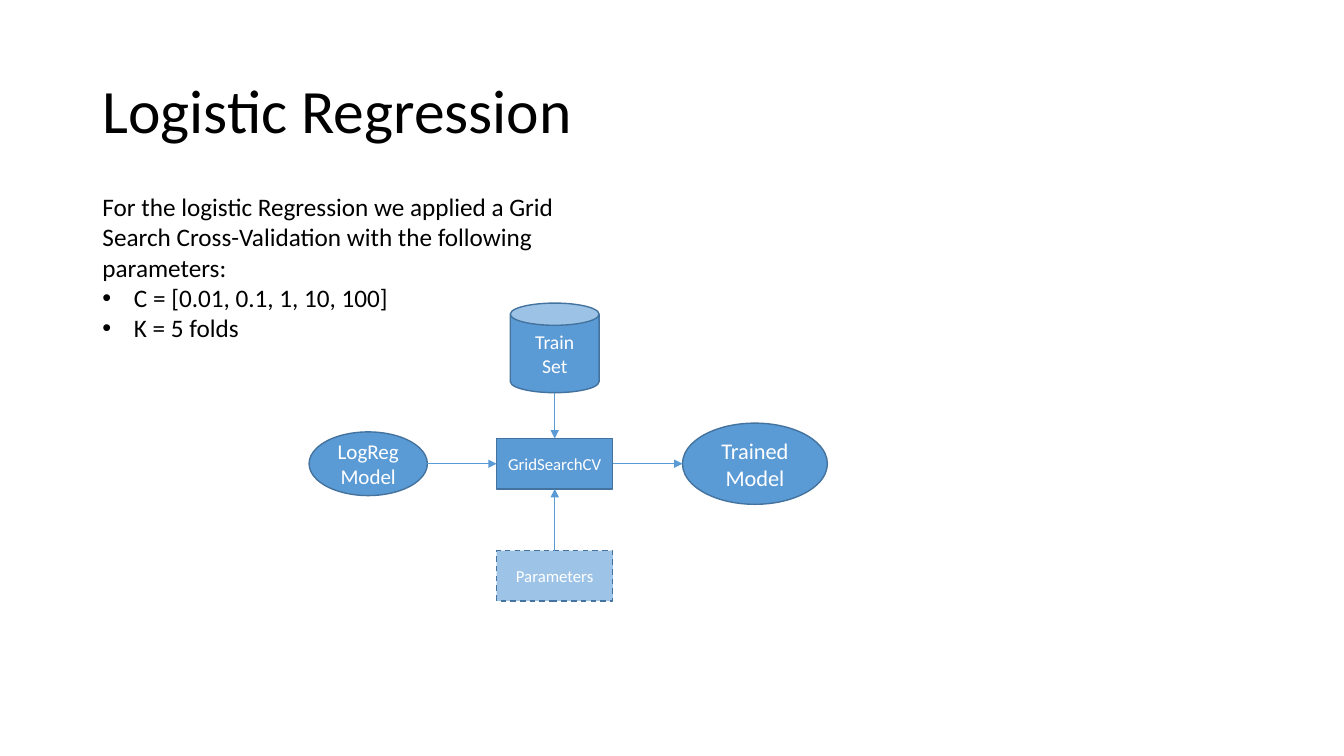
from lxml.etree import SubElement
from pptx import Presentation
from pptx.dml.color import RGBColor
from pptx.enum.dml import MSO_LINE
from pptx.enum.shapes import MSO_CONNECTOR, MSO_SHAPE
from pptx.enum.text import MSO_ANCHOR, MSO_AUTO_SIZE, PP_ALIGN
from pptx.oxml.ns import qn
from pptx.util import Pt


def color(hex_string):
    """Turn a hex string into a colour."""
    return RGBColor.from_string(hex_string)


def set_all(target, values):
    """Set every attribute named in a dict of format values."""
    for name, value in values.items():
        setattr(target, name, value)


class SlideBuilder:
    """Hold the style and the current slide, and add elements to it."""

    FONT = "Calibri"
    TEXT, LABEL = "000000", "FFFFFF"
    BLUE, PALE_BLUE, OUTLINE = "5B9BD5", "9DC3E6", "43739E"

    def __init__(self, presentation):
        """Add a title and content slide."""
        self.slide = presentation.slides.add_slide(presentation.slide_layouts[1])

    def place(self, shape, left, top, width, height):
        """Set the position and size of a shape in points."""
        set_all(shape, {"left": Pt(left), "top": Pt(top),
                        "width": Pt(width), "height": Pt(height)})

    def format_paragraph(self, paragraph, size, hex_string, **values):
        """Apply the font and the paragraph format."""
        set_all(paragraph.font, {"name": self.FONT, "size": Pt(size)})
        paragraph.font.color.rgb = color(hex_string)
        set_all(paragraph, {"space_before": Pt(0), **values})

    def title(self, text, *box):
        """Fill and move the title placeholder."""
        shape = self.slide.shapes.title
        self.place(shape, *box)
        frame = shape.text_frame
        frame.text = text
        set_all(frame, {"vertical_anchor": MSO_ANCHOR.MIDDLE,
                        "auto_size": MSO_AUTO_SIZE.NONE})
        self.format_paragraph(frame.paragraphs[0], 44, self.TEXT,
                              alignment=PP_ALIGN.LEFT, line_spacing=0.9)

    def body(self, intro, bullets, *box):
        """Fill the body placeholder with an introduction and bullets."""
        shape = self.slide.placeholders[1]
        self.place(shape, *box)
        frame = shape.text_frame
        frame.text = "\n".join([intro, *bullets])
        frame.auto_size = MSO_AUTO_SIZE.NONE
        for index, paragraph in enumerate(frame.paragraphs):
            self.format_paragraph(paragraph, 18, self.TEXT)
            properties = paragraph._p.get_or_add_pPr()
            indent = Pt(22.5) if index else 0
            properties.set("marL", str(indent))
            properties.set("indent", str(-indent))
            if index:
                SubElement(properties, qn("a:buFont")).set("typeface", "Arial")
                SubElement(properties, qn("a:buChar")).set("char", "•")
            else:
                SubElement(properties, qn("a:buNone"))

    def node(self, kind, text, size, center, width, height, fill=BLUE, dash=None):
        """Add a labelled shape around a centre point."""
        x, y = center
        shape = self.slide.shapes.add_shape(
            kind, Pt(x - width / 2), Pt(y - height / 2), Pt(width), Pt(height))
        shape.shadow.inherit = False
        shape.fill.solid()
        shape.fill.fore_color.rgb = color(fill)
        shape.line.color.rgb = color(self.OUTLINE)
        set_all(shape.line, {"width": Pt(1), "dash_style": dash})
        frame = shape.text_frame
        set_all(frame, {"word_wrap": True, "vertical_anchor": MSO_ANCHOR.MIDDLE,
                        "margin_left": Pt(4), "margin_right": Pt(4)})
        paragraph = frame.paragraphs[0]
        paragraph.text = text
        self.format_paragraph(paragraph, size, self.LABEL, alignment=PP_ALIGN.CENTER)
        return shape

    def arrow(self, start, end):
        """Add a straight arrow between two points."""
        connector = self.slide.shapes.add_connector(
            MSO_CONNECTOR.STRAIGHT, *start, *end)
        connector.line.color.rgb = color(self.BLUE)
        connector.line.width = Pt(0.5)
        outline = connector.line._get_or_add_ln()
        SubElement(outline, qn("a:tailEnd")).set("type", "triangle")
        SubElement(connector._element.spPr, qn("a:effectLst"))


presentation = Presentation()
set_all(presentation, {"slide_width": Pt(960), "slide_height": Pt(540)})

builder = SlideBuilder(presentation)
builder.title("Logistic Regression", 66, 28.75, 828, 104.4)
builder.body(
    "For the logistic Regression we applied a Grid Search Cross-Validation "
    "with the following parameters:",
    ["C = [0.01, 0.1, 1, 10, 100]", "K = 5 folds"],
    66, 133.2, 386.6, 116.6)

column, row = 396.25, 331.25
train_set = builder.node(MSO_SHAPE.CAN, "Train\vSet", 14, (column, 248.5), 63.5, 64)
trained_model = builder.node(
    MSO_SHAPE.OVAL, "Trained Model", 16, (539.25, row), 103.5, 58)
parameters = builder.node(
    MSO_SHAPE.RECTANGLE, "Parameters", 12, (column, 411.25), 83, 36,
    SlideBuilder.PALE_BLUE, MSO_LINE.DASH)
grid_search = builder.node(
    MSO_SHAPE.RECTANGLE, "GridSearchCV", 12, (column, row), 83, 36)
logreg_model = builder.node(
    MSO_SHAPE.OVAL, "LogReg Model", 15, (263, row), 84.5, 45.5)

center_x, center_y = Pt(column), Pt(row)
grid_right = grid_search.left + grid_search.width
grid_bottom = grid_search.top + grid_search.height
for start, end in [
    ((center_x, train_set.top + train_set.height), (center_x, grid_search.top)),
    ((center_x, parameters.top), (center_x, grid_bottom)),
    ((grid_right, center_y), (trained_model.left, center_y)),
    ((logreg_model.left + logreg_model.width, center_y), (grid_search.left, center_y)),
]:
    builder.arrow(start, end)

presentation.save("out.pptx")
